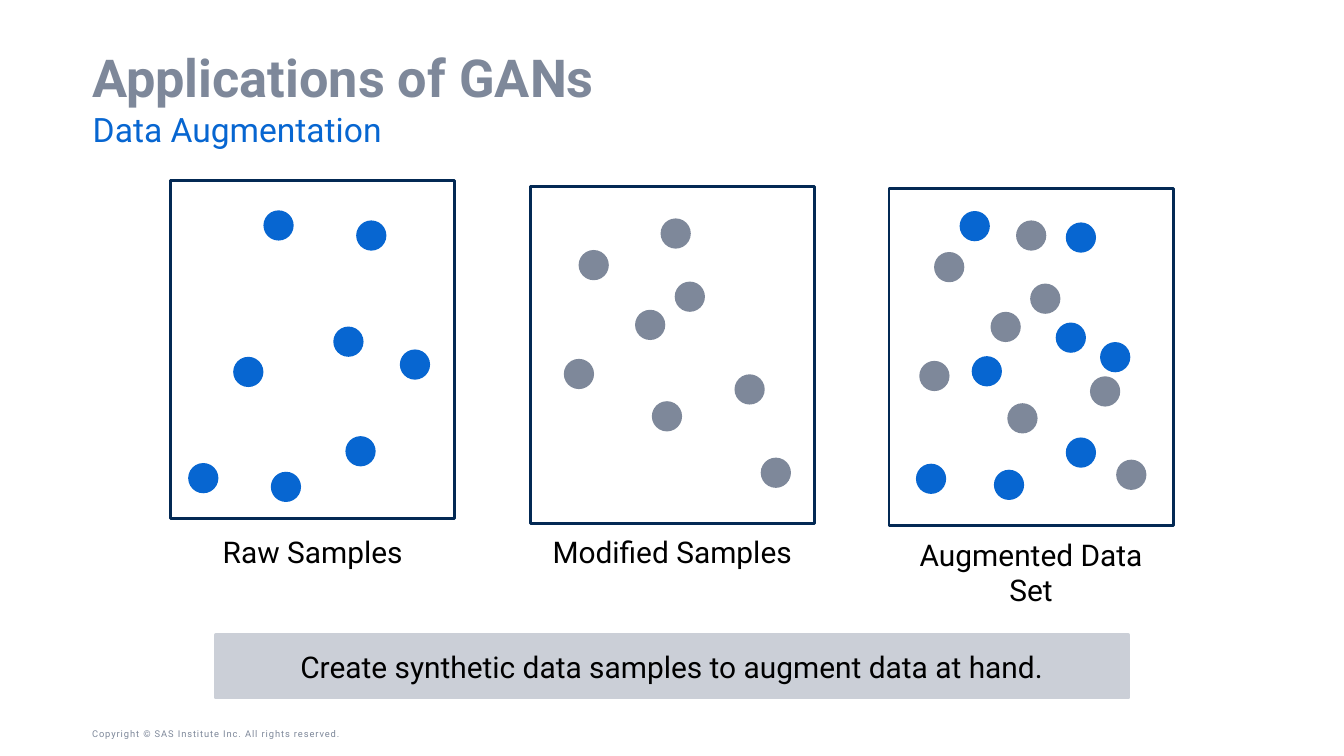
"""Build the slide on data augmentation with GANs."""
from dataclasses import dataclass

import pptx
import pptx.dml.color
import pptx.enum.shapes
import pptx.enum.text
import pptx.util

SHAPE = pptx.enum.shapes.MSO_SHAPE
ALIGN = pptx.enum.text.PP_ALIGN
ANCHOR = pptx.enum.text.MSO_ANCHOR
WIDTH = pptx.util.Inches(20)
HEIGHT = pptx.util.Inches(11.25)
COLUMN = WIDTH / 200
ROW = HEIGHT / 112.5
PANEL_SIZE = (42.3, 50.2)
DOT_SIZE = 4.5


@dataclass(frozen=True)
class Theme:
    font: str = "Roboto"
    blue: str = "0766D1"
    gray: str = "7E889A"
    navy: str = "032954"
    pale: str = "CBCFD7"
    black: str = "000000"
    title: int = 56
    subtitle: int = 36
    body: int = 32
    small: int = 10


@dataclass(frozen=True)
class Area:
    left: float
    top: float
    width: float
    height: float

    def lengths(self) -> tuple[int, int, int, int]:
        return (round(self.left * COLUMN), round(self.top * ROW),
                round(self.width * COLUMN), round(self.height * ROW))


@dataclass(frozen=True)
class Dots:
    color: str
    places: tuple[tuple[float, float], ...]
    shift: float = 0


@dataclass(frozen=True)
class Panel:
    left: float
    top: float
    dots: tuple[Dots, ...]
    label: str
    label_area: Area


THEME = Theme()
RAW = ((13.8, 4.4), (24.2, 21.7), (9.3, 26.2), (34.1, 25.1),
       (26, 38), (27.6, 5.9), (2.6, 42), (14.9, 43.3))
MODIFIED = ((5, 25.7), (18.1, 32), (7.2, 9.5), (15.6, 18.4),
            (34.3, 40.4), (19.4, 4.8), (21.5, 14.2), (30.4, 28))
RAW_AGAIN = ((10.5, 3.4), (26.3, 5.1), (4, 41), (15.6, 41.9),
             (26.3, 37.1), (31.4, 22.9), (12.3, 25), (24.8, 20))
PANELS = (
    Panel(25.4, 26.9, (Dots(THEME.blue, RAW),),
          "Raw Samples", Area(30, 78.9, 33.1, 6.4)),
    Panel(78.9, 27.7, (Dots(THEME.gray, MODIFIED),),
          "Modified Samples", Area(79.8, 78.9, 40.5, 6.4)),
    Panel(132.3, 28, (Dots(THEME.gray, MODIFIED, -0.5), Dots(THEME.blue, RAW_AGAIN)),
          "Augmented Data Set", Area(132.3, 79.3, 42.3, 11.8)),
)


def rgb(color: str) -> pptx.dml.color.RGBColor:
    return pptx.dml.color.RGBColor.from_string(color)


def write(box, text: str, size: int, color: str, align=ALIGN.LEFT, anchor=ANCHOR.TOP,
          inset: float | None = None, bold: bool = False, spacing: float = 1):
    frame = box.text_frame
    frame.word_wrap = True
    frame.auto_size = pptx.enum.text.MSO_AUTO_SIZE.NONE
    frame.vertical_anchor = anchor
    if inset is not None:
        frame.margin_left = frame.margin_right = pptx.util.Inches(inset)
        frame.margin_top = frame.margin_bottom = pptx.util.Inches(inset)
    para = frame.paragraphs[0]
    para.alignment = align
    para.line_spacing = spacing
    span = para.add_run()
    span.text = text
    span.font.name = THEME.font
    span.font.size = pptx.util.Pt(size)
    span.font.bold = bold
    span.font.color.rgb = rgb(color)
    return span


def add_shape(shapes, kind, area: Area, fill: str | None = None,
              line: str | None = None, weight: float = 1):
    shape = shapes.add_shape(kind, *area.lengths())
    shape.shadow.inherit = False
    if fill:
        shape.fill.solid()
        shape.fill.fore_color.rgb = rgb(fill)
    else:
        shape.fill.background()
    if line:
        shape.line.color.rgb = rgb(line)
        shape.line.width = pptx.util.Pt(weight)
    else:
        shape.line.fill.background()
    return shape


def add_panel(page, panel: Panel) -> None:
    shapes = page.shapes.add_group_shape().shapes
    add_shape(shapes, SHAPE.RECTANGLE, Area(panel.left, panel.top, *PANEL_SIZE),
              line=THEME.navy, weight=3)
    for dots in panel.dots:
        for across, down in dots.places:
            area = Area(panel.left + across + dots.shift, panel.top + down,
                        DOT_SIZE, DOT_SIZE)
            add_shape(shapes, SHAPE.OVAL, area, fill=dots.color)
    label = shapes.add_textbox(*panel.label_area.lengths())
    write(label, panel.label, THEME.body, THEME.black, ALIGN.CENTER)


def add_headings(page) -> None:
    title = page.shapes.title
    title.left, title.top, title.width, title.height = Area(13.7, 7.8, 172.5, 8.5).lengths()
    write(title, "Applications of GANs", THEME.title, THEME.gray,
          inset=0, bold=True, spacing=0.9)
    subtitle = page.shapes.add_textbox(*Area(13.8, 17.1, 172.5, 6).lengths())
    write(subtitle, "Data Augmentation", THEME.subtitle, THEME.blue,
          inset=0, spacing=0.85)


def add_copyright(page) -> None:
    box = page.shapes.add_textbox(*Area(13.7, 107.8, 55, 2.7).lengths())
    box.text_frame.margin_left = 0
    span = write(box, "Copyright © SAS Institute Inc. All rights reserved.",
                 THEME.small, THEME.gray, anchor=ANCHOR.BOTTOM)
    span.font._element.set("spc", "100")


def main() -> None:
    deck = pptx.Presentation()
    deck.slide_width, deck.slide_height = WIDTH, HEIGHT
    page = deck.slides.add_slide(deck.slide_layouts[5])
    add_copyright(page)
    add_headings(page)
    for panel in PANELS:
        add_panel(page, panel)
    banner = add_shape(page.shapes, SHAPE.RECTANGLE, Area(32.1, 94.5, 135.8, 9.3),
                       THEME.pale, THEME.pale, 4)
    write(banner, "Create synthetic data samples to augment data at hand.",
          THEME.body, THEME.black, ALIGN.CENTER, ANCHOR.MIDDLE, 0.19)
    deck.save("out.pptx")


if __name__ == "__main__":
    main()
